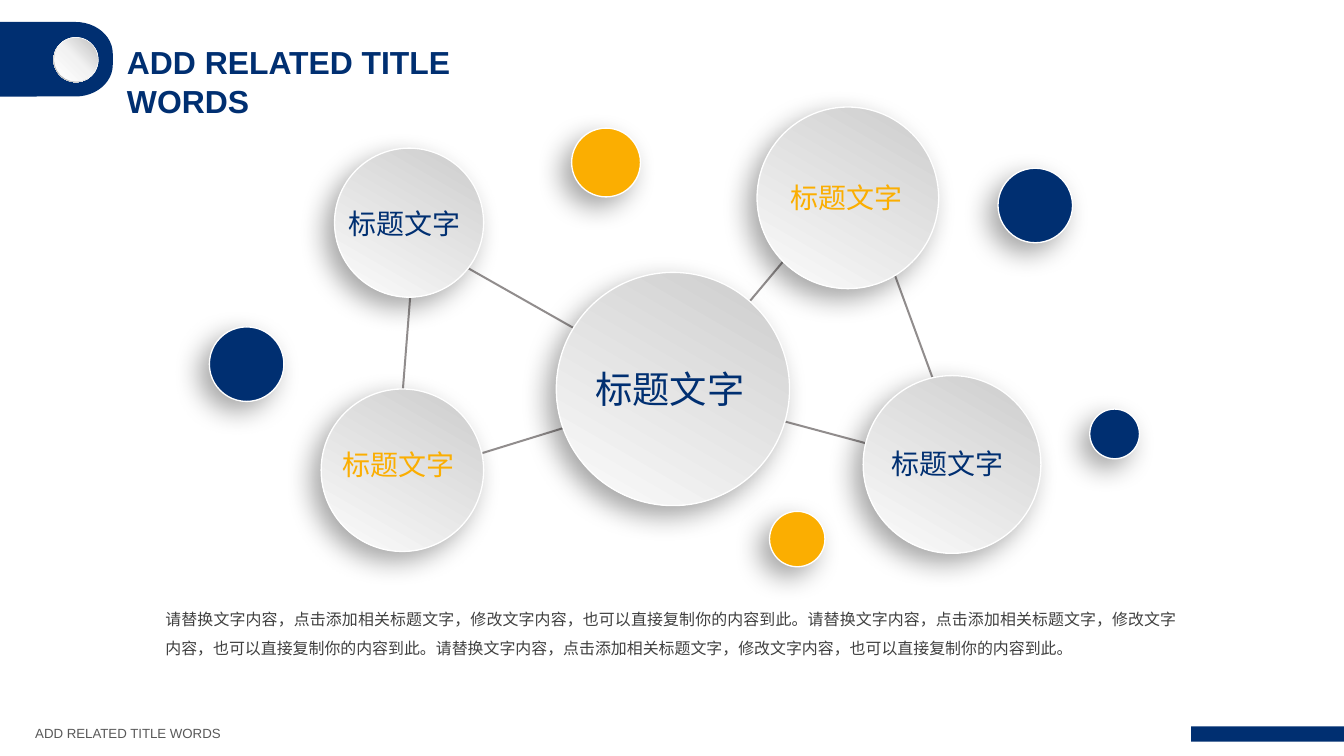
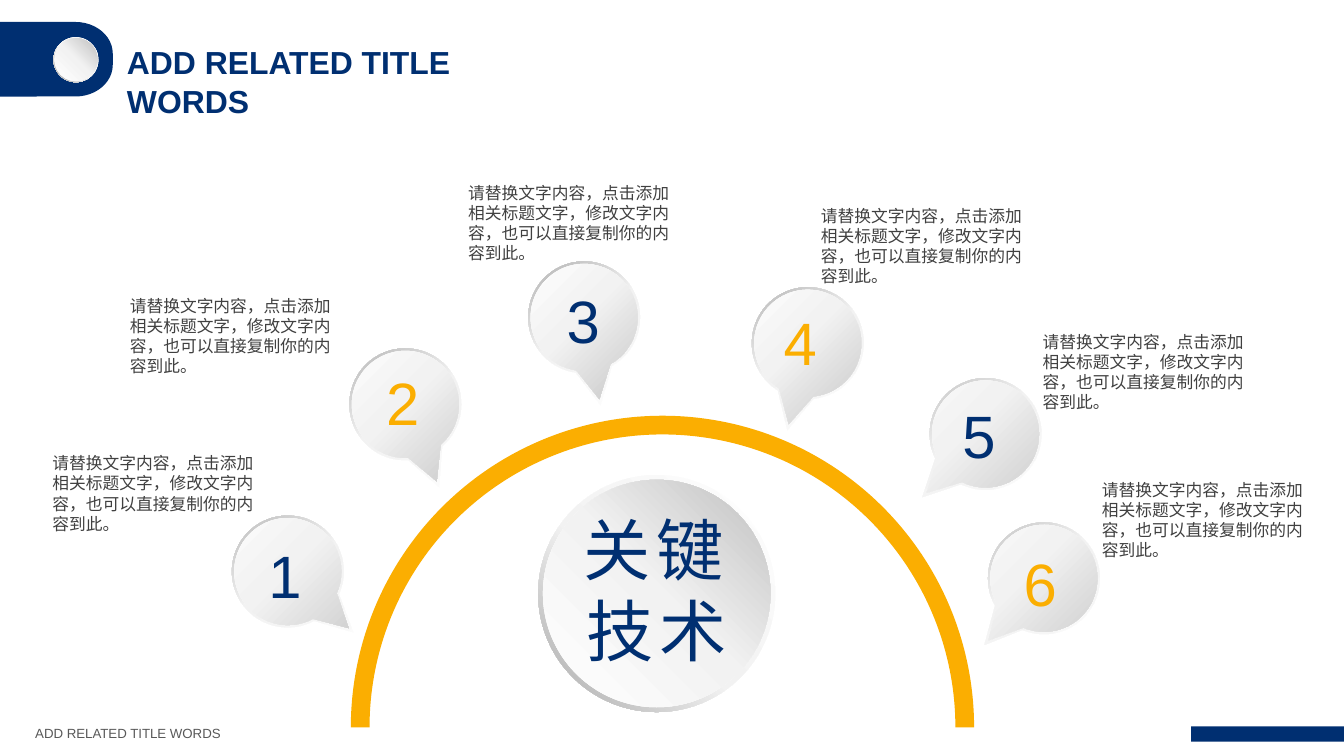
"""Build two slides: a network of linked discs and an arch of numbered bubbles."""
from dataclasses import dataclass
from math import cos, radians, sin

from lxml import etree
from pptx import Presentation
from pptx import util as u
from pptx.dml import color as dml
from pptx.enum import shapes, text
from pptx.oxml import ns

PX = 9144


@dataclass(frozen=True)
class Theme:
    font: str = "Arial"
    navy: str = "002F71"
    amber: str = "FBAE01"
    body: str = "404040"
    muted: str = "595959"
    link: str = "767171"
    edge: str = "FFFFFF"
    disc: tuple = (120, ((0, "CCCCCC"), (100, "FCFCFC")))
    knob_rim: tuple = (135, ((0, "FFFFFF"), (55, "F2F2F2"), (100, "A6A6A6")))
    knob_face: tuple = (315, ((0, "FFFFFF"), (51, "F2F2F2"), (100, "BFBFBF")))
    bubble_rim: tuple = (235, ((0, "FFFFFF"), (55, "F2F2F2"), (100, "A6A6A6")))
    bubble_face: tuple = (45, ((0, "FFFFFF"), (43, "F2F2F2"), (100, "BFBFBF")))
    title_size: float = 24
    footer_size: float = 10
    hub_size: float = 28.1
    node_size: float = 21.1
    body_size: float = 12
    note_size: float = 12.65
    number_size: float = 45
    key_size: float = 50.6


theme = Theme()


def paint(shape, fill, raised=False):
    """Fill a shape with a colour or a gradient; a raised one gets an edge and a shadow."""
    if isinstance(fill, str):
        shape.fill.solid()
        shape.fill.fore_color.rgb = dml.RGBColor.from_string(fill)
    else:
        angle, stops = fill
        shape.fill.gradient()
        shape.fill.gradient_angle = 360 - angle
        gradient = shape.element.spPr.find(ns.qn("a:gradFill"))
        gradient.set("rotWithShape", "0")
        stop_list = gradient.find(ns.qn("a:gsLst"))
        for stop in list(stop_list):
            stop_list.remove(stop)
        for position, value in stops:
            stop = etree.SubElement(stop_list, ns.qn("a:gs"), pos=str(position * 1000))
            etree.SubElement(stop, ns.qn("a:srgbClr"), val=value)
    shape.shadow.inherit = False
    if not raised:
        shape.line.fill.background()
        return
    shape.line.color.rgb = dml.RGBColor.from_string(theme.edge)
    shape.line.width = u.Pt(1)
    effects = shape.element.spPr.find(ns.qn("a:effectLst"))
    shadow = etree.SubElement(effects, ns.qn("a:outerShdw"), blurRad=str(u.Pt(20)),
                              dist=str(u.Pt(10)), dir=str(136 * 60000), rotWithShape="0")
    tint = etree.SubElement(shadow, ns.qn("a:srgbClr"), val="000000")
    etree.SubElement(tint, ns.qn("a:alpha"), val="34000")


def write(page, place, words, size, color, frame_format=None, para_format=None, bold=False):
    """Add a text box at a place given in px and return its one run."""
    box = page.shapes.add_textbox(*(v * PX for v in place))
    frame = box.text_frame
    para = frame.paragraphs[0]
    span = para.add_run()
    span.text = words
    formats = (
        (frame, {"word_wrap": True, "auto_size": text.MSO_AUTO_SIZE.SHAPE_TO_FIT_TEXT,
                 **(frame_format or {})}),
        (para, para_format or {}),
        (span.font, {"name": theme.font, "size": u.Pt(size), "bold": bold}),
    )
    for target, values in formats:
        for name, value in values.items():
            setattr(target, name, value)
    span.font.color.rgb = dml.RGBColor.from_string(color)
    return span


NO_WRAP = {"word_wrap": False}
NO_MARGINS = dict.fromkeys(("margin_left", "margin_top", "margin_right", "margin_bottom"), 0)
OVAL = shapes.MSO_SHAPE.OVAL
DONUT = shapes.MSO_SHAPE.DONUT
TITLE = "ADD RELATED TITLE WORDS"
NODE_LABEL = "标题文字"
SENTENCE = "请替换文字内容，点击添加相关标题文字，修改文字内容，也可以直接复制你的内容到此。"

deck = Presentation()
deck.slide_width = 1406 * PX
deck.slide_height = 791 * PX
network, arch = pages = [deck.slides.add_slide(deck.slide_layouts[6]) for _ in range(2)]

corners = [(v * PX, w * PX) for v, w in (
    (434, 249), (709, 405), (897, 181), (1011, 492), (709, 411), (414, 502))]
route = network.shapes.build_freeform(*corners[0], scale=1.0)
route.add_line_segments(corners[1:], close=True)
links = route.convert_to_shape()
links.fill.background()
links.shadow.inherit = False
links.line.color.rgb = dml.RGBColor.from_string(theme.link)
links.line.width = u.Pt(1.5)
tint = links.element.spPr.find(".//" + ns.qn("a:ln")).find(".//" + ns.qn("a:srgbClr"))
etree.SubElement(tint, ns.qn("a:alpha"), val="80000")

dots = [
    (805, 535, 58, theme.amber), (219, 342, 78, theme.navy), (1044, 176, 78, theme.navy),
    (1140, 428, 52, theme.navy), (598, 134, 72, theme.amber),
]
nodes = [
    (582, 285, 244, (613, 378, 178, 57), theme.hub_size, theme.navy),
    (792, 112, 190, (817, 184, 139, 46), theme.node_size, theme.amber),
    (903, 393, 186, (923, 462, 139, 46), theme.node_size, theme.navy),
    (350, 155, 156, (355, 211, 139, 46), theme.node_size, theme.navy),
    (336, 407, 170, (348, 463, 139, 46), theme.node_size, theme.amber),
]
discs = [(*node[:3], theme.disc) for node in nodes] + dots
for left, top, side, fill in discs:
    disc = network.shapes.add_shape(OVAL, *(v * PX for v in (left, top, side, side)))
    paint(disc, fill, raised=True)
for *_, place, size, color in nodes:
    write(network, place, NODE_LABEL, size, color, NO_WRAP)
write(network, (173, 628, 1059, 57), SENTENCE * 3, theme.body_size, theme.body, NO_MARGINS,
      {"alignment": text.PP_ALIGN.JUSTIFY, "line_spacing": 1.5})

bubbles = [
    ((301, 598), 132.9, (271, 559), (45, 469)),
    ((424, 423), 157.8, (394, 378), (126, 304)),
    ((611, 332), 169.4, (583, 292), (480, 186)),
    ((845, 359), 193.2, (810, 315), (849, 210)),
    ((1031, 454), 225, (997, 412), (1081, 342)),
    ((1092, 605), 221.7, (1061, 567), (1143, 497)),
]
tab = [((-2, 23), None), ((79, 23), None), ((118, 56), (39, 33, 270, 90)), ((118, 68), None),
       ((79, 101), (39, 33, 0, 90)), ((-2, 101), None)]
outlines = [(page, tab, theme.navy, 0) for page in pages]
turns = (289, 360, 450, 540, 611)
for (x, y), rotation, *_ in bubbles:
    for width, height, fill in ((117, 152, theme.bubble_rim), (112, 143, theme.bubble_face)):
        radius = width / 2
        shift = height / 2 - radius
        pivot_x = x + shift * sin(radians(rotation))
        pivot_y = y - shift * cos(radians(rotation))
        rim = [(pivot_x + radius * cos(radians(a)), pivot_y + shift + radius * sin(radians(a)))
               for a in turns]
        arcs = [None] + [(radius, radius, a, b - a) for a, b in zip(turns, turns[1:])]
        drop = [((pivot_x, pivot_y - height / 2), None), *zip(rim, arcs)]
        outlines.append((arch, drop, fill, rotation))

for page, steps, fill, rotation in outlines:
    points = [(x * PX, y * PX) for (x, y), _ in steps]
    builder = page.shapes.build_freeform(*points[0], scale=1.0)
    builder.add_line_segments(points[1:], close=True)
    shape = builder.convert_to_shape()
    lines = shape.element.spPr.findall(".//" + ns.qn("a:lnTo"))
    for line, (_, bend) in zip(lines, steps[1:]):
        if bend:
            wide, high, start, sweep = bend
            curve = etree.Element(ns.qn("a:arcTo"), wR=str(int(wide * PX)),
                                  hR=str(int(high * PX)), stAng=str(start % 360 * 60000),
                                  swAng=str(sweep * 60000))
            line.getparent().replace(line, curve)
    shape.rotation = rotation
    paint(shape, fill)

arc = arch.shapes.add_shape(shapes.MSO_SHAPE.BLOCK_ARC, *(v * PX for v in (367, 435, 652, 652)))
for index, value in enumerate((108, 0, 0.03)):
    arc.adjustments[index] = value
paint(arc, theme.amber)

for number, (_, _, number_at, note_at) in enumerate(bubbles, 1):
    write(arch, (*number_at, 57, 86), str(number), theme.number_size,
          theme.navy if number % 2 else theme.amber, NO_WRAP)
    write(arch, (*note_at, 240, 95), SENTENCE, theme.note_size, theme.body)

knobs = [(page, 56, 39, 47, 1) for page in pages] + [(arch, 563, 497, 248, 5)]
for page, left, top, side, rim in knobs:
    ring = page.shapes.add_shape(DONUT, *(v * PX for v in (left, top, side, side)))
    ring.adjustments[0] = 0.05
    paint(ring, theme.knob_rim)
    inner = side - 2 * rim
    face = page.shapes.add_shape(OVAL, *(v * PX for v in (left + rim, top + rim, inner, inner)))
    paint(face, theme.knob_face)

for page in pages:
    write(page, (123, 40, 433, 91), TITLE, theme.title_size, theme.navy, bold=True)
    write(page, (27, 754, 219, 27), TITLE, theme.footer_size, theme.muted, NO_WRAP)
    band = page.shapes.add_shape(shapes.MSO_SHAPE.RECTANGLE,
                                 *(v * PX for v in (1246, 760, 160, 16)))
    paint(band, theme.navy)

key = write(arch, (582, 527, 210, 180), "关键技术", theme.key_size, theme.navy,
            para_format={"alignment": text.PP_ALIGN.CENTER})
key.font._element.set("spc", "420")

deck.save("out.pptx")
